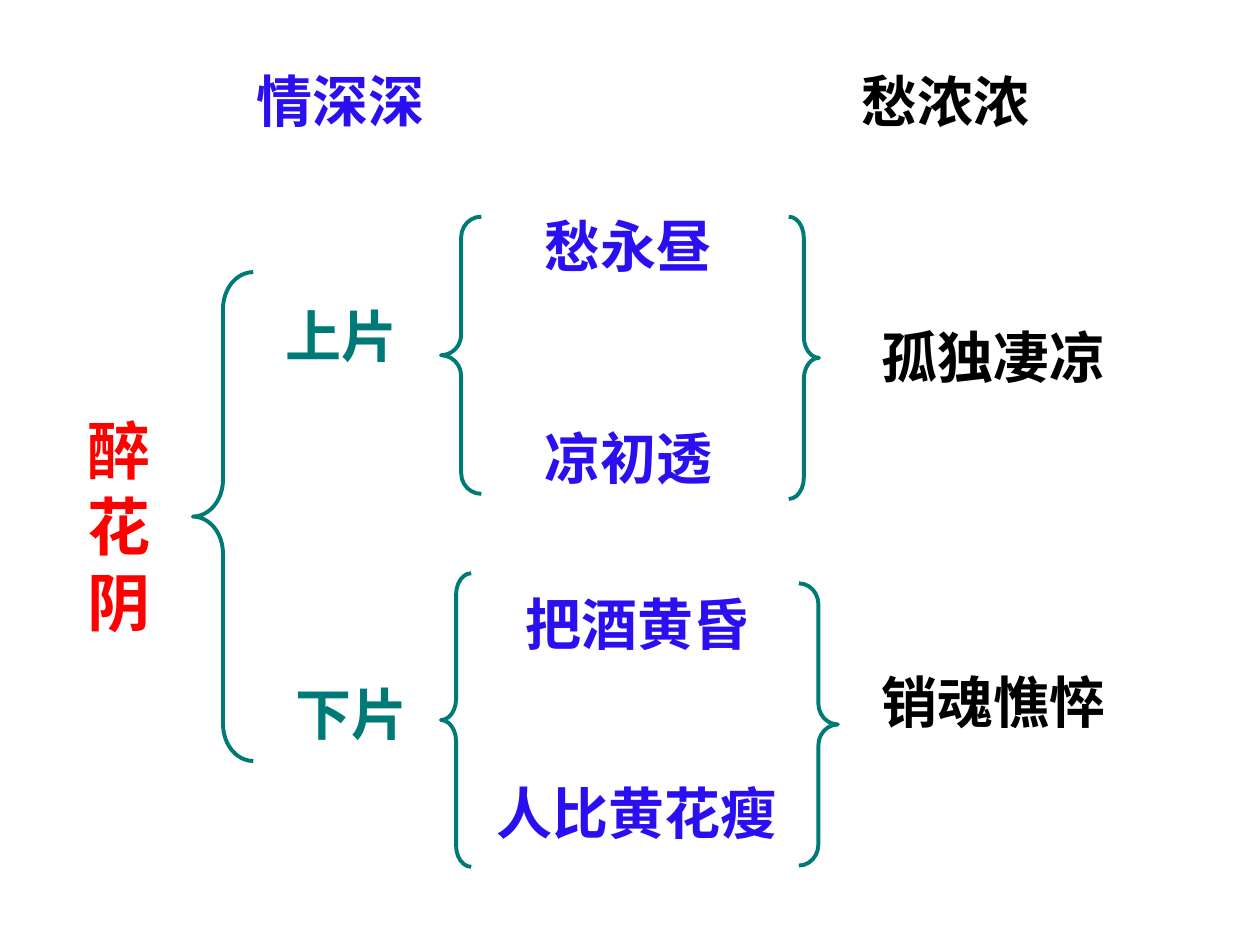
from typing import Any, NamedTuple

from pptx import Presentation
from pptx.dml.color import RGBColor as Rgb
from pptx.enum.shapes import MSO_SHAPE as Shape
from pptx.enum.text import MSO_AUTO_SIZE as Fit
from pptx.util import Inches, Pt

HUES = {"red": "FF0000", "teal": "007A77", "blue": "2A0FF1", "black": "000000"}
FACE = {"name": "Arial", "bold": True}
FRAME = {"word_wrap": False, "auto_size": Fit.SHAPE_TO_FIT_TEXT}


class Label(NamedTuple):
    text: str
    left: float
    top: float
    hue: str
    size: int = 32


class Brace(NamedTuple):
    kind: Shape
    left: float
    top: float
    width: float
    height: float
    bend: float


LABELS = [
    Label("情深深", 1.94, 0.48, "blue"),
    Label("愁浓浓", 6.74, 0.48, "black"),
    Label("醉\n花\n阴", 0.6, 3.22, "red", 36),
    Label("上片", 2.17, 2.34, "teal"),
    Label("下片", 2.25, 5.34, "teal"),
    Label("愁永昼", 4.22, 1.63, "blue"),
    Label("凉初透", 4.22, 3.31, "blue"),
    Label("把酒黄昏", 4.07, 4.63, "blue"),
    Label("人比黄花瘦", 3.84, 6.13, "blue"),
    Label("孤独凄凉", 6.9, 2.51, "black"),
    Label("销魂憔悴", 6.9, 5.25, "black"),
]

BRACES = [
    Brace(Shape.LEFT_BRACE, 1.53, 2.16, 0.48, 3.88, 0.61),
    Brace(Shape.LEFT_BRACE, 3.5, 1.72, 0.32, 2.2, 0.51),
    Brace(Shape.LEFT_BRACE, 3.5, 4.55, 0.24, 2.33, 0.7),
    Brace(Shape.RIGHT_BRACE, 6.26, 1.72, 0.24, 2.24, 0.7),
    Brace(Shape.RIGHT_BRACE, 6.34, 4.63, 0.31, 2.24, 0.54),
]


def style(item: Any, looks: dict[str, Any]) -> None:
    """Set each named value on the item."""
    for name, value in looks.items():
        setattr(item, name, value)


def draw_label(slide: Any, label: Label) -> None:
    """Write a label in a box sized to its glyphs."""
    lines = label.text.split("\n")
    glyph = label.size / 72
    wide = glyph * len(lines[0]) + 0.2
    high = glyph * 1.2 * len(lines) + 0.1
    box = slide.shapes.add_textbox(
        Inches(label.left), Inches(label.top), Inches(wide), Inches(high))
    frame = box.text_frame
    style(frame, FRAME)
    frame.text = label.text
    for para in frame.paragraphs:
        font = para.runs[0].font
        style(font, FACE | {"size": Pt(label.size)})
        font.color.rgb = Rgb.from_string(HUES[label.hue])


def draw_brace(slide: Any, brace: Brace) -> None:
    """Draw an open brace."""
    area = (brace.left, brace.top, brace.width, brace.height)
    shape = slide.shapes.add_shape(brace.kind, *map(Inches, area))
    shape.adjustments[0] = brace.bend
    shape.shadow.inherit = False
    shape.fill.background()
    shape.line.width = Pt(2.25)
    shape.line.color.rgb = Rgb.from_string(HUES["teal"])


def main() -> None:
    """Build the outline of the poem."""
    deck = Presentation()
    style(deck, {"slide_width": Inches(10), "slide_height": Inches(7.5)})
    slide = deck.slides.add_slide(deck.slide_layouts[6])
    for brace in BRACES:
        draw_brace(slide, brace)
    for label in LABELS:
        draw_label(slide, label)
    deck.save("out.pptx")


if __name__ == "__main__":
    main()
